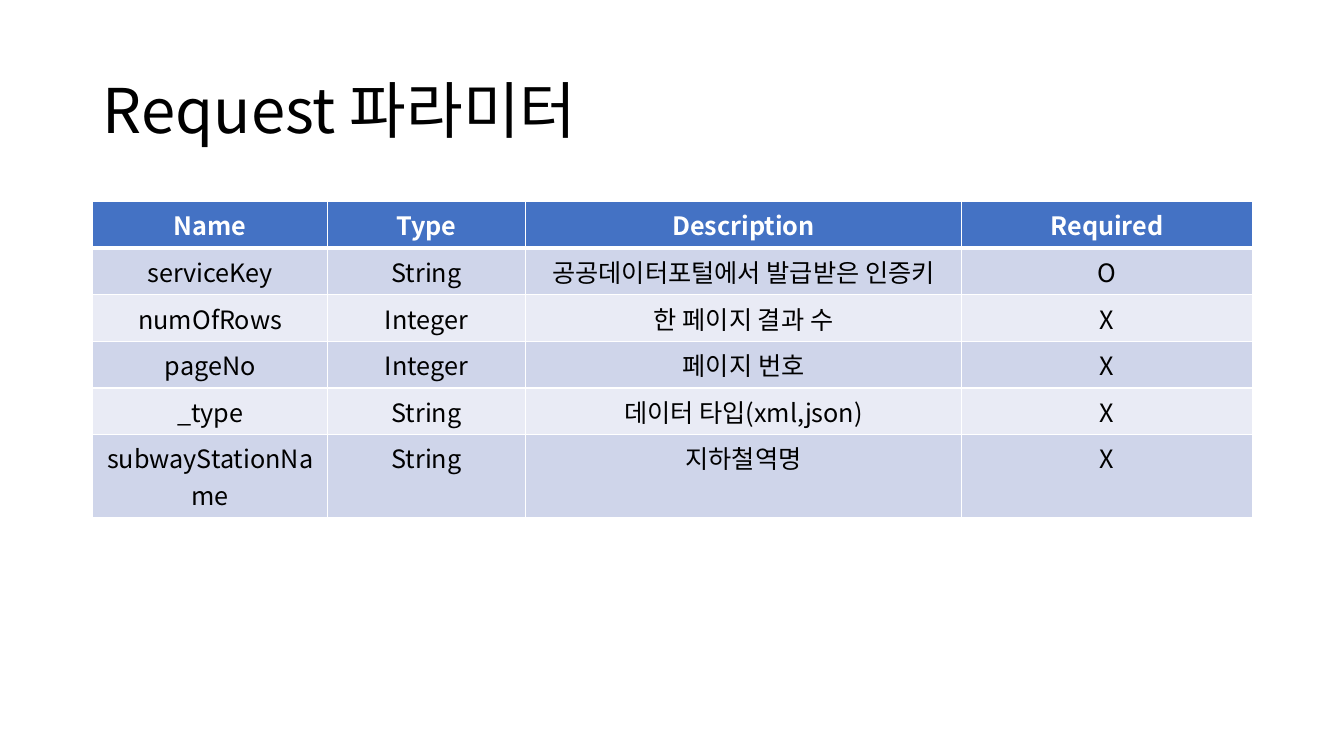
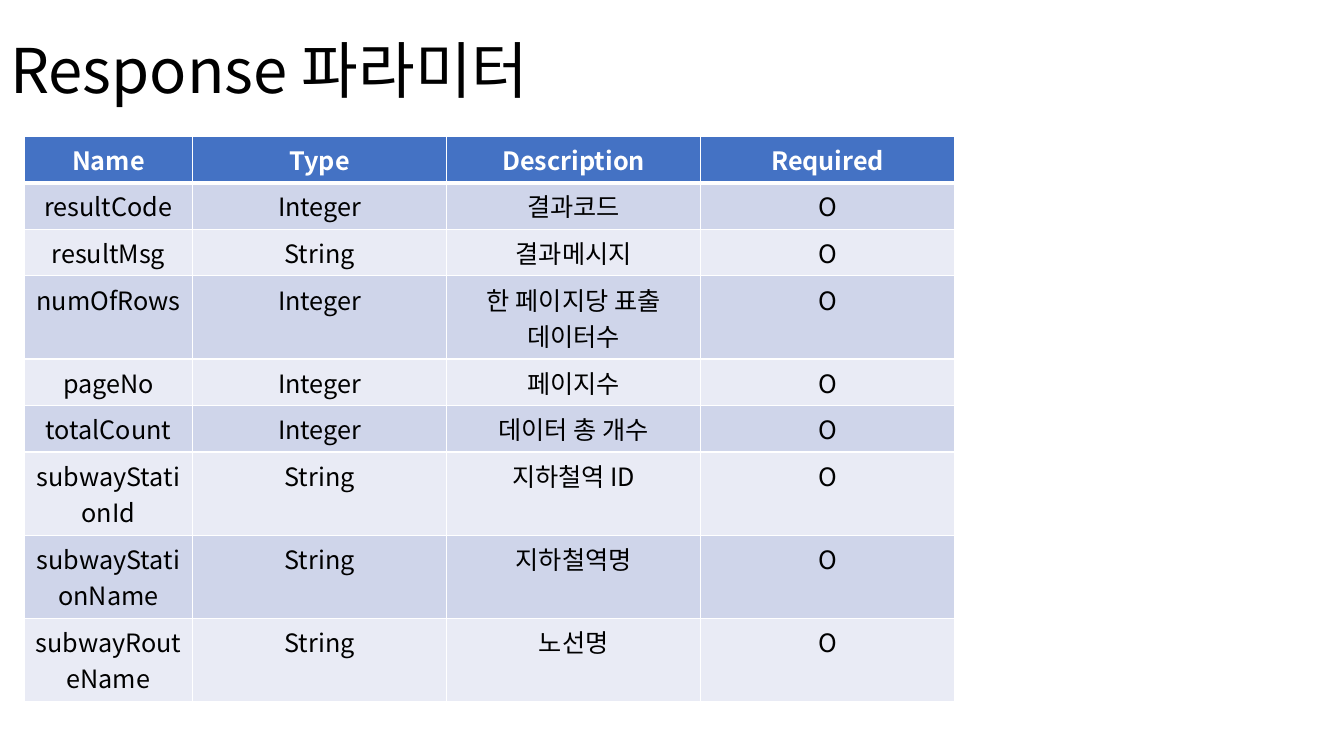
from dataclasses import dataclass

import pptx
import pptx.dml.color
import pptx.enum.text
import pptx.oxml
import pptx.oxml.ns
import pptx.util
from lxml import etree

HEADER = ("Name", "Type", "Description", "Required")

SLIDES = [
    {
        "title": "Request 파라미터",
        "title_at": (0.92, 0.4),
        "table_at": (0.92, 2),
        "columns": (2.33, 1.96, 4.33, 2.88),
        "rows": [
            ("serviceKey", "String", "공공데이터포털에서 발급받은 인증키", "O"),
            ("numOfRows", "Integer", "한 페이지 결과 수", "X"),
            ("pageNo", "Integer", "페이지 번호", "X"),
            ("_type", "String", "데이터 타입(xml,json)", "X"),
            ("subwayStationName", "String", "지하철역명", "X"),
        ],
    },
    {
        "title": "Response 파라미터",
        "title_at": (0, 0),
        "table_at": (0.24, 1.35),
        "columns": (1.67, 2.52, 2.52, 2.52),
        "rows": [
            ("resultCode", "Integer", "결과코드", "O"),
            ("resultMsg", "String", "결과메시지", "O"),
            ("numOfRows", "Integer", "한 페이지당 표출 데이터수", "O"),
            ("pageNo", "Integer", "페이지수", "O"),
            ("totalCount", "Integer", "데이터 총 개수", "O"),
            ("subwayStationId", "String", "지하철역 ID", "O"),
            ("subwayStationName", "String", "지하철역명", "O"),
            ("subwayRouteName", "String", "노선명", "O"),
        ],
    },
]


@dataclass(frozen=True)
class Theme:
    font: str = "Noto Sans CJK KR"
    title_size: int = 44
    cell_size: int = 18
    text: str = "000000"
    header_text: str = "FFFFFF"
    header_fill: str = "4472C4"
    bands: tuple = ("CFD5EA", "E9EBF5")
    border: str = "FFFFFF"
    thin: int = 1
    thick: int = 3
    title_box: tuple = (11.5, 1.45)
    row_height: float = 0.41


THEME = Theme()
ALIGN = pptx.enum.text.PP_ALIGN
inches = pptx.util.Inches


def rgb(value):
    return pptx.dml.color.RGBColor.from_string(value)


def write(tf, text, align, size, color, bold=False, line_spacing=None):
    p = tf.paragraphs[0]
    p.alignment = align
    p.line_spacing = line_spacing
    r = p.add_run()
    r.text = text
    formats = {"name": THEME.font, "size": pptx.util.Pt(size), "bold": bold}
    for name, value in formats.items():
        setattr(r.font, name, value)
    r.font.color.rgb = rgb(color)
    east_asian = etree.SubElement(r.font._element, pptx.oxml.ns.qn("a:ea"))
    east_asian.set("typeface", THEME.font)


def set_borders(cell, top, bottom):
    widths = {"lnL": THEME.thin, "lnR": THEME.thin, "lnT": top, "lnB": bottom}
    tc_pr = cell._tc.get_or_add_tcPr()
    for side, width in widths.items():
        tc_pr.append(pptx.oxml.parse_xml(
            f'<a:{side} {pptx.oxml.ns.nsdecls("a")} w="{pptx.util.Pt(width)}">'
            f'<a:solidFill><a:srgbClr val="{THEME.border}"/></a:solidFill></a:{side}>'
        ))


def add_title(s, text, at):
    sp = s.shapes.title
    box = [inches(v) for v in (*at, *THEME.title_box)]
    sp.left, sp.top, sp.width, sp.height = box
    sp.text_frame.vertical_anchor = pptx.enum.text.MSO_ANCHOR.MIDDLE
    write(sp.text_frame, text, ALIGN.LEFT, THEME.title_size, THEME.text, line_spacing=0.9)


def add_parameter_table(s, at, columns, rows):
    lines = [HEADER, *rows]
    frame = s.shapes.add_table(
        len(lines), len(columns), *map(inches, at),
        inches(sum(columns)), inches(THEME.row_height * len(lines)),
    )
    table = frame.table
    for column, width in zip(table.columns, columns):
        column.width = inches(width)
    for i, line in enumerate(lines):
        is_header = i == 0
        table.rows[i].height = inches(THEME.row_height)
        fill = THEME.header_fill if is_header else THEME.bands[(i - 1) % 2]
        color = THEME.header_text if is_header else THEME.text
        top = THEME.thick if i == 1 else THEME.thin
        bottom = THEME.thick if is_header else THEME.thin
        for cell, text in zip(table.rows[i].cells, line):
            set_borders(cell, top, bottom)
            cell.fill.solid()
            cell.fill.fore_color.rgb = rgb(fill)
            write(cell.text_frame, text, ALIGN.CENTER, THEME.cell_size, color, is_header)


def main():
    prs = pptx.Presentation()
    prs.slide_width, prs.slide_height = inches(13.33), inches(7.5)
    title_only = prs.slide_layouts[5]
    for content in SLIDES:
        s = prs.slides.add_slide(title_only)
        add_title(s, content["title"], content["title_at"])
        add_parameter_table(s, content["table_at"], content["columns"], content["rows"])
    prs.save("out.pptx")


if __name__ == "__main__":
    main()
